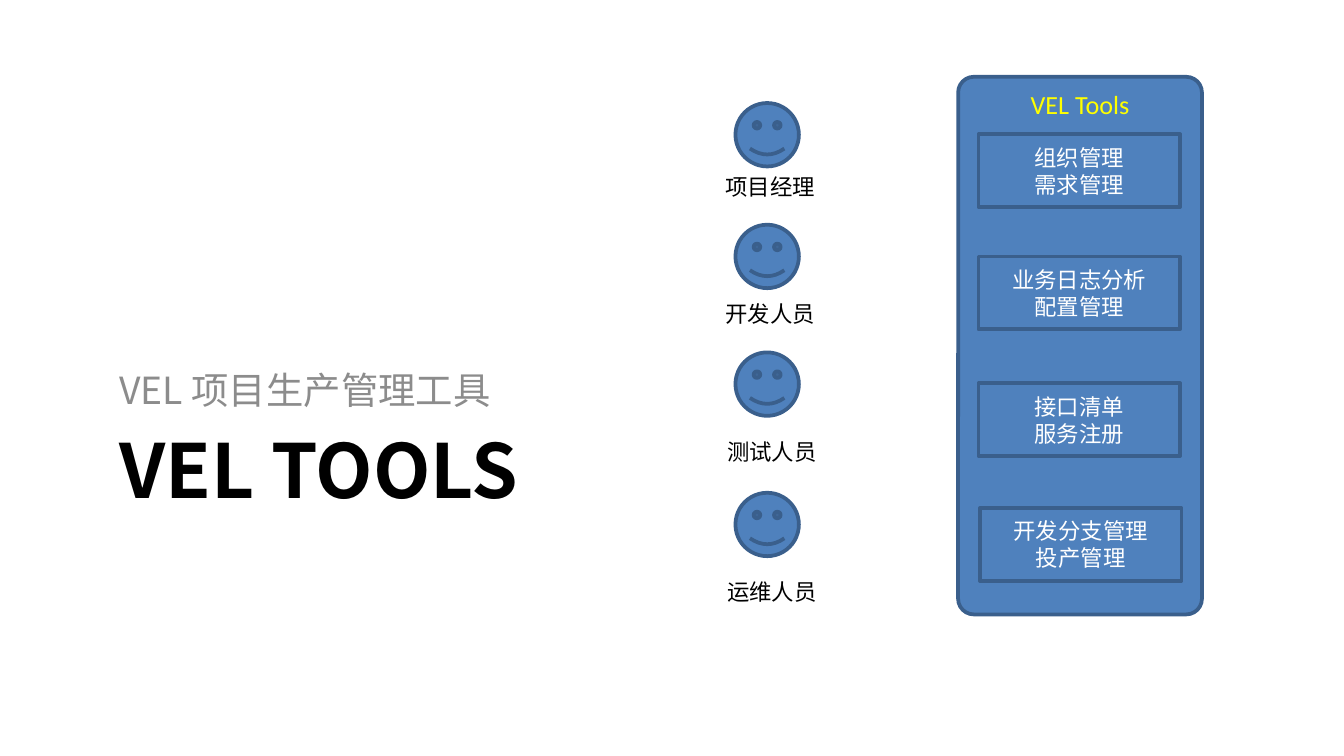
import pptx
import pptx.util
import pptx.dml.color
import pptx.enum.shapes
import pptx.enum.text
import pptx.oxml.ns
import lxml.etree

Pt = pptx.util.Pt
Rgb = pptx.dml.color.RGBColor.from_string
Kind = pptx.enum.shapes.MSO_SHAPE
Align = pptx.enum.text.PP_ALIGN
Anchor = pptx.enum.text.MSO_ANCHOR


class Theme:
    blue, edge, black, white = "4F81BD", "3A5F8C", "000000", "FFFFFF"
    grey, yellow = "8C8C8C", "FFFF00"
    latin, asian = "Calibri", "Noto Sans CJK SC"
    title, sub, head, body = 40, 20, 14, 12


def write(shape, lines, size, color, name=Theme.latin, bold=False,
          align=Align.LEFT, anchor=Anchor.TOP):
    frame = shape.text_frame
    frame.text = "\n".join(lines)
    frame.word_wrap = True
    frame.auto_size = pptx.enum.text.MSO_AUTO_SIZE.NONE
    frame.vertical_anchor = anchor
    look = {"size": Pt(size), "bold": bold, "name": name}
    for para in frame.paragraphs:
        para.alignment = align
        for run in para.runs:
            for key, value in look.items():
                setattr(run.font, key, value)
            run.font.color.rgb = Rgb(color)
            # East Asian typeface
            ea = lxml.etree.SubElement(run.font._element, pptx.oxml.ns.qn("a:ea"))
            ea.set("typeface", Theme.asian)


def draw(kind, left, top, width, height):
    shape = slide.shapes.add_shape(kind, Pt(left), Pt(top), Pt(width), Pt(height))
    shape.shadow.inherit = False
    shape.fill.solid()
    shape.fill.fore_color.rgb = Rgb(Theme.blue)
    shape.line.color.rgb = Rgb(Theme.edge)
    shape.line.width = Pt(2)
    return shape


deck = pptx.Presentation()
deck.slide_width, deck.slide_height = Pt(720), Pt(405)
slide = deck.slides.add_slide(deck.slide_layouts[5])

# Title and subtitle
title = slide.shapes.title
place = {"left": 56.9, "top": 223.2, "width": 612, "height": 80.5}
for key, value in place.items():
    setattr(title, key, Pt(value))
write(title, ["VEL TOOLS"], Theme.title, Theme.black, Theme.asian, bold=True)

sub = slide.shapes.add_textbox(Pt(56.9), Pt(136), Pt(612), Pt(88.5))
write(sub, ["VEL 项目生产管理工具"], Theme.sub, Theme.grey, Theme.asian,
      anchor=Anchor.BOTTOM)

# Panel of tools
panel = draw(Kind.ROUNDED_RECTANGLE, 513.3, 41.2, 130.6, 288)
panel.adjustments[0] = 0.064
write(panel, ["VEL Tools"], Theme.head, Theme.yellow, align=Align.CENTER)

# Roles: face top, label left and top, box left and top, tools
roles = [
    ("项目经理", 55.2, 381.6, 89.2, 524.2, 72, ["组织管理", "需求管理"]),
    ("开发人员", 120.4, 381.6, 157, 524.2, 137.5, ["业务日志分析", "配置管理"]),
    ("测试人员", 188.8, 382.5, 231.4, 524.2, 205.4, ["接口清单", "服务注册"]),
    ("运维人员", 264, 382.5, 306.3, 525, 272.2, ["开发分支管理", "投产管理"]),
]
for role, face, x, y, left, top, tools in roles:
    draw(Kind.SMILEY_FACE, 394, face, 34, 34)
    label = slide.shapes.add_textbox(Pt(x), Pt(y), Pt(90.7), Pt(21.6))
    write(label, [role], Theme.body, Theme.black)
    box = draw(Kind.RECTANGLE, left, top, 108, 39)
    write(box, tools, Theme.body, Theme.white,
          align=Align.CENTER, anchor=Anchor.MIDDLE)

deck.save("out.pptx")
